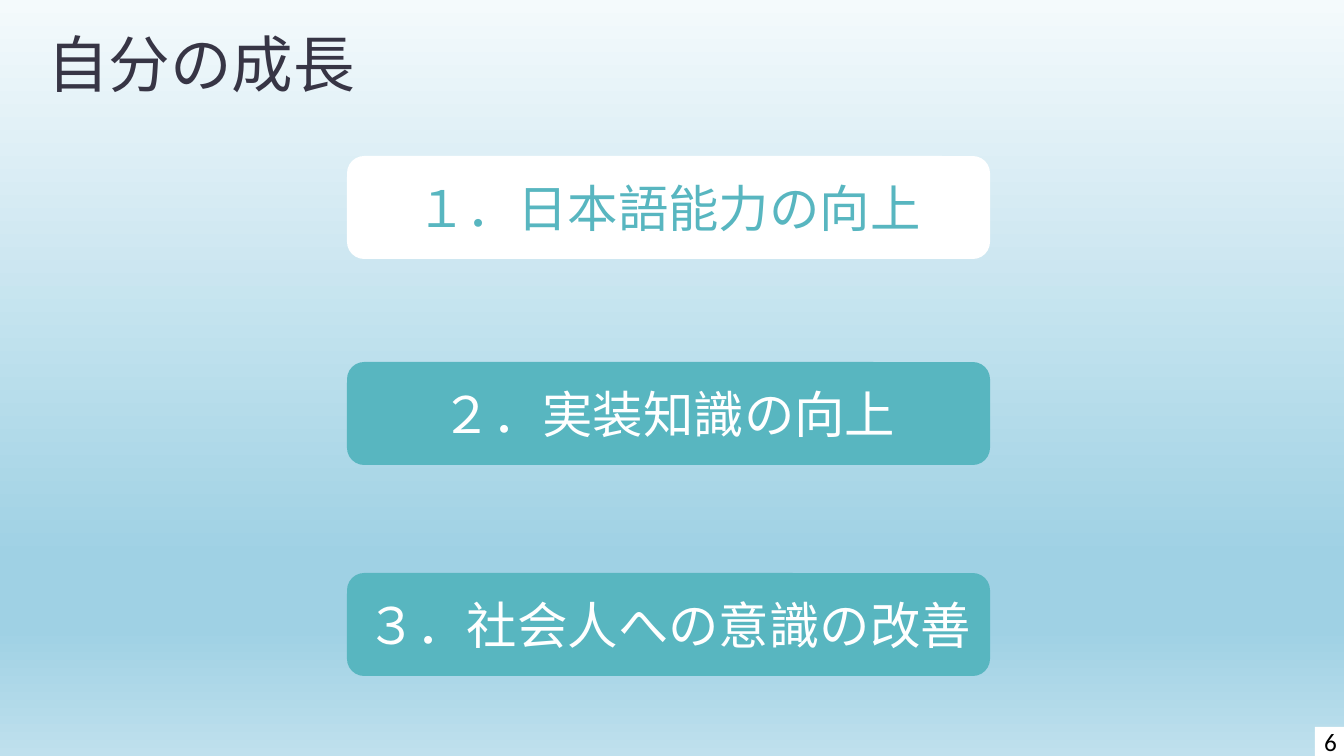
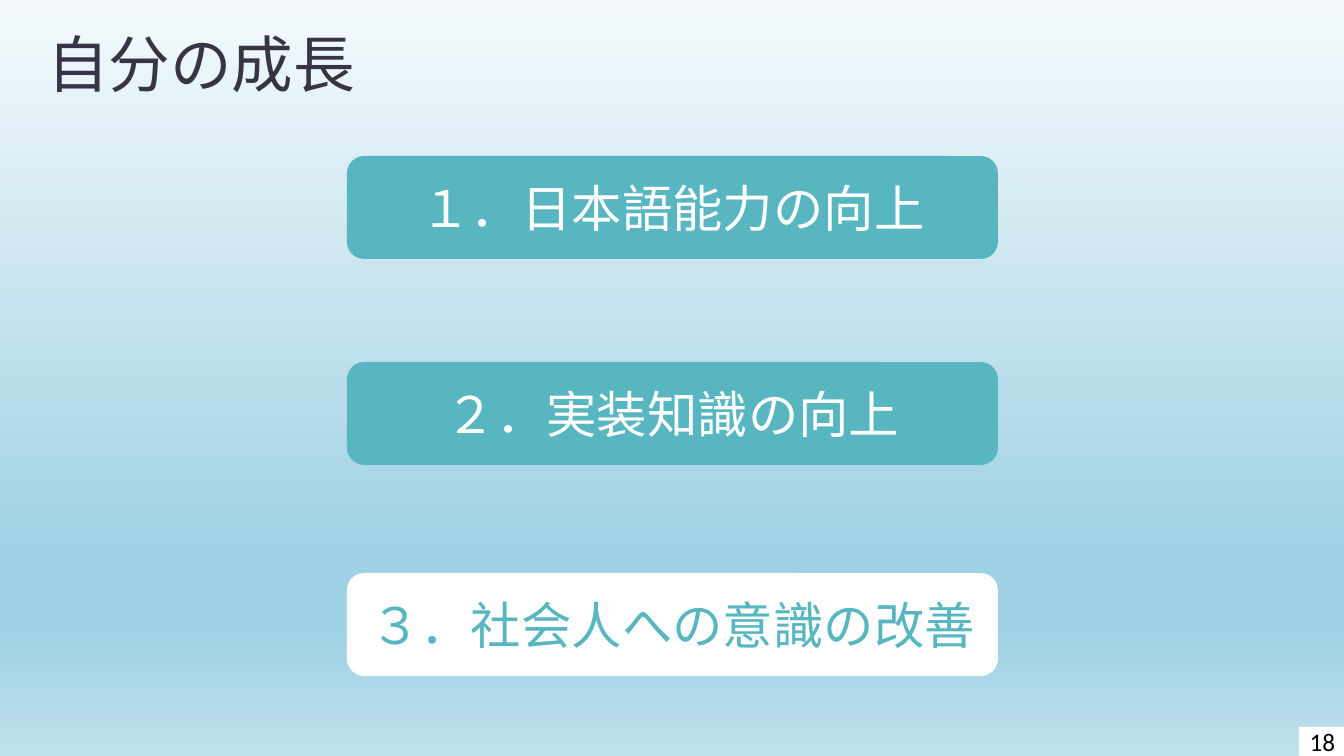
from dataclasses import dataclass

from lxml.etree import SubElement
from pptx import Presentation
from pptx.dml.color import RGBColor
from pptx.enum.shapes import MSO_SHAPE
from pptx.enum.text import MSO_ANCHOR, PP_ALIGN
from pptx.oxml.ns import qn

PX = 914400 / 100.8  # EMU in one px


@dataclass(frozen=True)
class Theme:
    ink: str = "373545"
    accent: str = "58B6C0"
    white: str = "FFFFFF"
    black: str = "000000"
    sky: tuple = ((0, "F4FAFC"), (74, "9FD1E4"), (83, "9FD1E4"), (100, "BFE0ED"))
    font: str = "Calibri"
    cjk_font: str = "Noto Sans CJK JP"
    title_size: int = 44
    bar_size: int = 36
    number_size: int = 18


def emu(*lengths):
    return [round(n * PX) for n in lengths]


class Deck:
    def __init__(self, theme):
        self.theme = theme
        self.prs = Presentation()
        self.prs.slide_width, self.prs.slide_height = emu(1344, 756)
        self.s = None
        self.background()

    def background(self):
        """Vertical sky gradient, set once on the master."""
        master = self.prs.slide_master
        fill = master.background.fill
        fill.gradient()
        fill.gradient_angle = 270
        stops = master.element.find(".//" + qn("a:gsLst"))
        for stop in list(stops):
            stops.remove(stop)
        for percent, color in self.theme.sky:
            stop = SubElement(stops, qn("a:gs"), pos=str(percent * 1000))
            SubElement(stop, qn("a:srgbClr"), val=color)

    def text(self, shape, text, size, color, font, align, anchor):
        tf = shape.text_frame
        tf.text = text
        tf.vertical_anchor = anchor
        p = tf.paragraphs[0]
        p.alignment = align
        r = p.runs[0]
        r.font.size = size * 12700
        r.font.name = font
        r.font.color.rgb = RGBColor.from_string(color)
        SubElement(r.font._element, qn("a:ea"), typeface=self.theme.cjk_font)
        return p

    def slide(self, title):
        t = self.theme
        self.s = self.prs.slides.add_slide(self.prs.slide_layouts[5])
        shape = self.s.shapes.title
        shape.left, shape.top, shape.width, shape.height = emu(37, 26, 334, 78)
        p = self.text(shape, title, t.title_size, t.ink, t.cjk_font,
                      PP_ALIGN.LEFT, MSO_ANCHOR.BOTTOM)
        p.line_spacing = 0.8

    def box(self, kind, box, text, size, fill, color):
        sp = self.s.shapes.add_shape(kind, *emu(*box))
        sp.shadow.inherit = False
        sp.fill.solid()
        sp.fill.fore_color.rgb = RGBColor.from_string(fill)
        sp.line.fill.background()
        self.text(sp, text, size, color, self.theme.font,
                  PP_ALIGN.CENTER, MSO_ANCHOR.MIDDLE)
        return sp

    def bar(self, top, width, text, active):
        t = self.theme
        fill, color = (t.white, t.accent) if active else (t.accent, t.white)
        self.box(MSO_SHAPE.ROUNDED_RECTANGLE, (347, top, width, 103),
                 text, t.bar_size, fill, color)

    def page_number(self, number):
        t = self.theme
        text = str(number)
        width = 15 + 16 * len(text)
        sp = self.box(MSO_SHAPE.RECTANGLE, (1346 - width, 727, width, 29),
                      text, t.number_size, t.white, t.black)
        tf = sp.text_frame
        tf.margin_left = tf.margin_right = tf.margin_top = tf.margin_bottom = 0


TOPICS = (
    (156, "１．日本語能力の向上"),
    (362, "２．実装知識の向上"),
    (573, "３．社会人への意識の改善"),
)

# Page number, bar width, highlighted topic
AGENDAS = ((6, 643, 0), (18, 651, 2))


def main():
    deck = Deck(Theme())
    for number, width, current in AGENDAS:
        deck.slide("自分の成長")
        for i, (top, topic) in enumerate(TOPICS):
            deck.bar(top, width, topic, i == current)
        deck.page_number(number)
    deck.prs.save("out.pptx")


if __name__ == "__main__":
    main()
